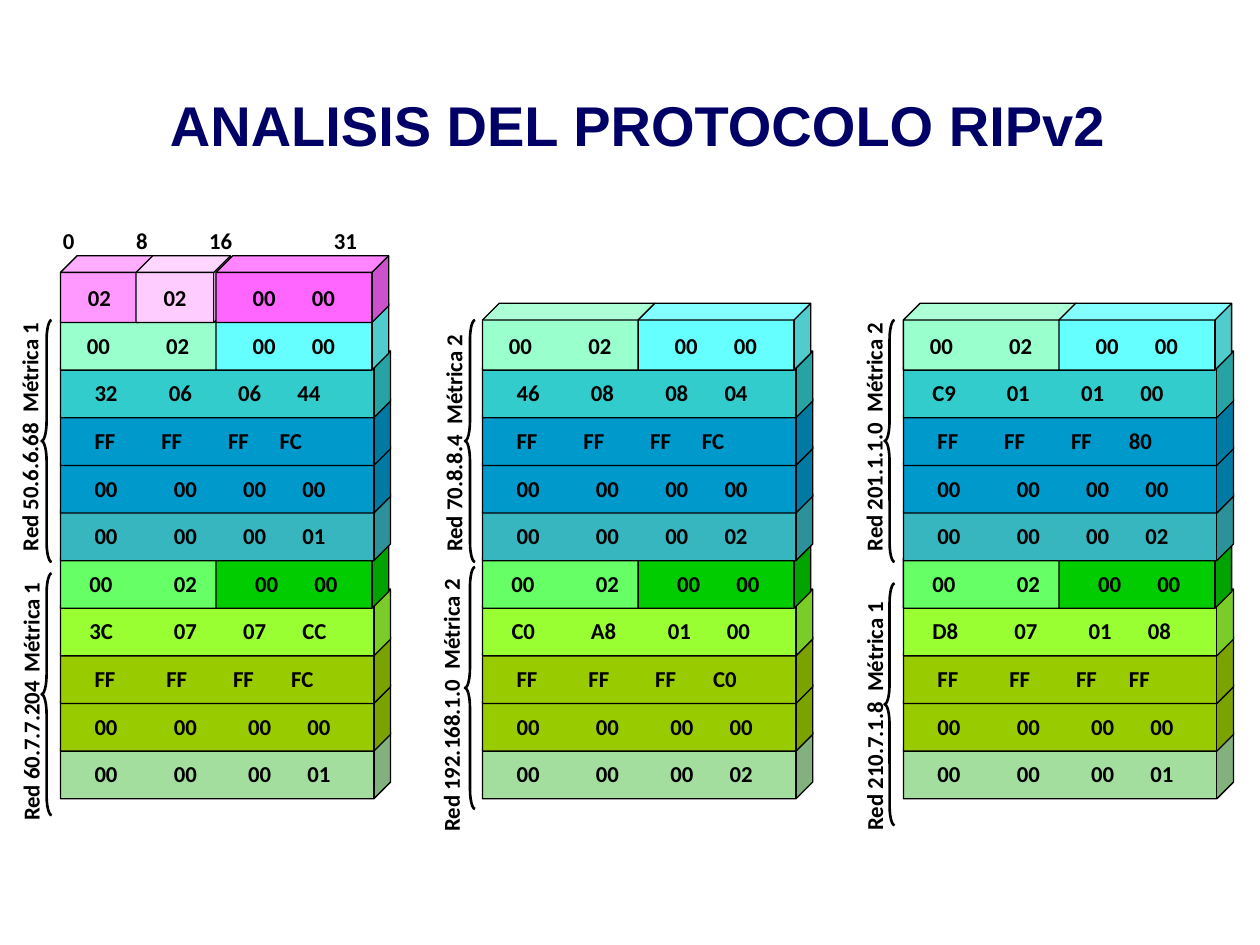
from lxml import etree
from pptx import Presentation
from pptx.dml.color import RGBColor
from pptx.enum.shapes import MSO_SHAPE
from pptx.enum.text import MSO_ANCHOR, PP_ALIGN
from pptx.oxml.ns import qn
from pptx.util import Inches, Pt

CUBE = MSO_SHAPE.CUBE
LEFT_BRACE = MSO_SHAPE.LEFT_BRACE
MIDDLE = MSO_ANCHOR.MIDDLE
LEFT = PP_ALIGN.LEFT
CENTER = PP_ALIGN.CENTER

BLACK = RGBColor(0x00, 0x00, 0x00)
NAVY = RGBColor(0x00, 0x00, 0x66)
PINK = RGBColor(0xFF, 0x99, 0xFF)
PALE_PINK = RGBColor(0xFF, 0xCC, 0xFF)
MAGENTA = RGBColor(0xFF, 0x66, 0xFF)
MINT = RGBColor(0x99, 0xFF, 0xCC)
CYAN = RGBColor(0x66, 0xFF, 0xFF)
TURQUOISE = RGBColor(0x33, 0xCC, 0xCC)
BLUE = RGBColor(0x00, 0x99, 0xCC)
TEAL = RGBColor(0x38, 0xB6, 0xC0)
LIGHT_GREEN = RGBColor(0x66, 0xFF, 0x66)
GREEN = RGBColor(0x00, 0xCC, 0x00)
LIME = RGBColor(0x99, 0xFF, 0x33)
OLIVE = RGBColor(0x99, 0xCC, 0x00)
SAGE = RGBColor(0xA3, 0xDE, 0x9E)

STACK_TOP = 2.03
ROW_PITCH = 0.378
CUBE_HEIGHT = 0.53
FULL_WIDTH = 2.62
HALF_WIDTH = 1.37
BYTE_WIDTH = 0.75
HALF_OFFSET = 1.235
BRACE_HEIGHT = 1.92
LABEL_HEIGHT = 0.33
INSET = 0.11

FAMILY_ROWS = {
    1: [(MINT, "00 02", [0.21, 0.84]), (CYAN, "00 00", [0.29, 0.76])],
    6: [(LIGHT_GREEN, "00 02", [0.23, 0.9]), (GREEN, "00 00", [0.31, 0.78])],
}
ROW_COLORS = {2: TURQUOISE, 3: BLUE, 4: BLUE, 5: TEAL,
              7: LIME, 8: OLIVE, 9: OLIVE, 10: SAGE}
ZERO_STOPS = [0.27, 0.9, 1.45, 1.92]
WIDE_STOPS = [0.27, 0.9, 1.49, 1.96]
MASK_STOPS = [0.27, 0.8, 1.33, 1.74]
WIDE_MASK_STOPS = [0.27, 0.84, 1.37, 1.83]
NEXT_HOP = ("00 00 00 00", ZERO_STOPS)
WIDE_NEXT_HOP = ("00 00 00 00", WIDE_STOPS)

STACKS = [
    {"left": 0.48, "brace_left": 0.33,
     "rows": {2: ("32 06 06 44", [0.27, 0.86, 1.41, 1.88]),
              3: ("FF FF FF FC", MASK_STOPS),
              4: NEXT_HOP,
              5: ("00 00 00 01", ZERO_STOPS),
              7: ("3C 07 07 CC", [0.23, 0.9, 1.45, 1.92]),
              8: ("FF FF FF FC", WIDE_MASK_STOPS),
              9: WIDE_NEXT_HOP,
              10: ("00 00 00 01", WIDE_STOPS)},
     "routes": [("Red 50.6.6.68", "Métrica 1", -0.81, 3.27, 2.1, 1.1, 2.54),
                ("Red 60.7.7.204", "Métrica 1", -0.85, 5.36, 2.2, 1.18, 4.55)]},
    {"left": 3.83, "brace_left": 3.69,
     "rows": {2: ("46 08 08 04", [0.27, 0.86, 1.45, 1.92]),
              3: ("FF FF FF FC", MASK_STOPS),
              4: NEXT_HOP,
              5: ("00 00 00 02", ZERO_STOPS),
              7: ("C0 A8 01 00", [0.23, 0.86, 1.47, 1.94]),
              8: ("FF FF FF C0", WIDE_MASK_STOPS),
              9: WIDE_NEXT_HOP,
              10: ("00 00 00 02", WIDE_STOPS)},
     "routes": [("Red 70.8.8.4", "Métrica 2", 2.6, 3.32, 2.01, 1.01, 2.54),
                ("Red 192.168.1.0", "Métrica 2", 2.44, 5.4, 2.29, 1.29, 4.5)]},
    {"left": 7.17, "brace_left": 7.02,
     "rows": {2: ("C9 01 01 00", [0.23, 0.82, 1.41, 1.88]),
              3: ("FF FF FF 80", [0.27, 0.8, 1.33, 1.79]),
              4: NEXT_HOP,
              5: ("00 00 00 02", ZERO_STOPS),
              7: ("D8 07 01 08", [0.23, 0.88, 1.47, 1.94]),
              8: ("FF FF FF FF", [0.27, 0.84, 1.37, 1.79]),
              9: WIDE_NEXT_HOP,
              10: ("00 00 00 01", WIDE_STOPS)},
     "routes": [("Red 201.1.1.0", "Métrica 2", 5.89, 3.27, 2.1, 1.1, 2.54),
                ("Red 210.7.1.8", "Métrica 1", 5.87, 5.46, 2.15, 1.1, 4.63)]},
]


def set_tab_stops(paragraph, positions):
    tab_list = etree.Element(qn("a:tabLst"))
    for position in positions:
        etree.SubElement(tab_list, qn("a:tab"), pos=str(Inches(position)), algn="l")
    paragraph._p.get_or_add_pPr().insert(0, tab_list)


def write_text(shape, text, stops=(), alignment=LEFT, size=13, name="Calibri", color=BLACK):
    paragraph = shape.text_frame.paragraphs[0]
    paragraph.text = text
    paragraph.alignment = alignment
    font = paragraph.font
    font.size, font.name, font.bold = Pt(size), name, True
    font.color.rgb = color
    if stops:
        set_tab_stops(paragraph, stops)


def add_cube(shapes, left, row, width, fill, text, stops=()):
    top = STACK_TOP + row * ROW_PITCH
    cube = shapes.add_shape(CUBE, Inches(left), Inches(top), Inches(width), Inches(CUBE_HEIGHT))
    cube.shadow.inherit = False
    cube.fill.solid()
    cube.fill.fore_color.rgb = fill
    cube.line.color.rgb = BLACK
    cube.line.width = Pt(0.75)
    frame = cube.text_frame
    frame.word_wrap = True
    frame.vertical_anchor = MIDDLE
    start = stops[0] if stops else INSET
    frame.margin_left = Inches(start)
    frame.margin_right = Inches(0 if stops else INSET)
    write_text(cube, "\t".join(text.split()), [stop - start for stop in stops[1:]],
               LEFT if stops else CENTER)


def add_label(shapes, left, top, width, text, stops, rotation=0):
    label = shapes.add_textbox(Inches(left), Inches(top), Inches(width), Inches(LABEL_HEIGHT))
    label.rotation = rotation
    label.text_frame.word_wrap = False
    label.text_frame.margin_left = label.text_frame.margin_right = Inches(INSET)
    write_text(label, text, stops)


def add_brace(shapes, left, top):
    brace = shapes.add_shape(LEFT_BRACE, Inches(left), Inches(top), Inches(0.08), Inches(BRACE_HEIGHT))
    brace.adjustments[0] = 1.93
    brace.shadow.inherit = False
    brace.fill.background()
    brace.line.color.rgb = BLACK
    brace.line.width = Pt(1.5)


def add_stack(shapes, stack):
    left = stack["left"]
    for row in range(10, 0, -1):
        if row in FAMILY_ROWS:
            for index, (fill, text, stops) in enumerate(FAMILY_ROWS[row]):
                add_cube(shapes, left + index * HALF_OFFSET, row, HALF_WIDTH, fill, text, stops)
        else:
            add_cube(shapes, left, row, FULL_WIDTH, ROW_COLORS[row], *stack["rows"][row])


def add_routes(shapes, stack):
    for network, metric, left, top, width, stop, brace_top in stack["routes"]:
        add_label(shapes, left, top, width, f"{network}\t{metric}", [stop], 270)
        add_brace(shapes, stack["brace_left"], brace_top)


def add_header(shapes, left):
    add_cube(shapes, left, 0, BYTE_WIDTH, PINK, "02")
    add_cube(shapes, left + 0.6, 0, BYTE_WIDTH, PALE_PINK, "02")
    add_cube(shapes, left + HALF_OFFSET, 0, HALF_WIDTH, MAGENTA, "00 00", [0.29, 0.76])
    add_label(shapes, 0.39, 1.75, 2.63, "0\t8\t16\t31", [0.58, 1.16, 2.15])


def add_title(slide):
    title = slide.shapes.add_textbox(Inches(1.25), Inches(0.67), Inches(7.69), Inches(0.64))
    title.text_frame.word_wrap = False
    write_text(title, "ANALISIS DEL PROTOCOLO RIPv2", size=32, name="Arial", color=NAVY)


def main():
    presentation = Presentation()
    presentation.slide_width, presentation.slide_height = Inches(10), Inches(7.5)
    slide = presentation.slides.add_slide(presentation.slide_layouts[6])
    add_title(slide)
    for index, stack in enumerate(STACKS):
        shapes = slide.shapes.add_group_shape().shapes
        add_stack(shapes, stack)
        if index == 0:
            add_header(shapes, stack["left"])
        add_routes(shapes, stack)
    presentation.save("out.pptx")


if __name__ == "__main__":
    main()
